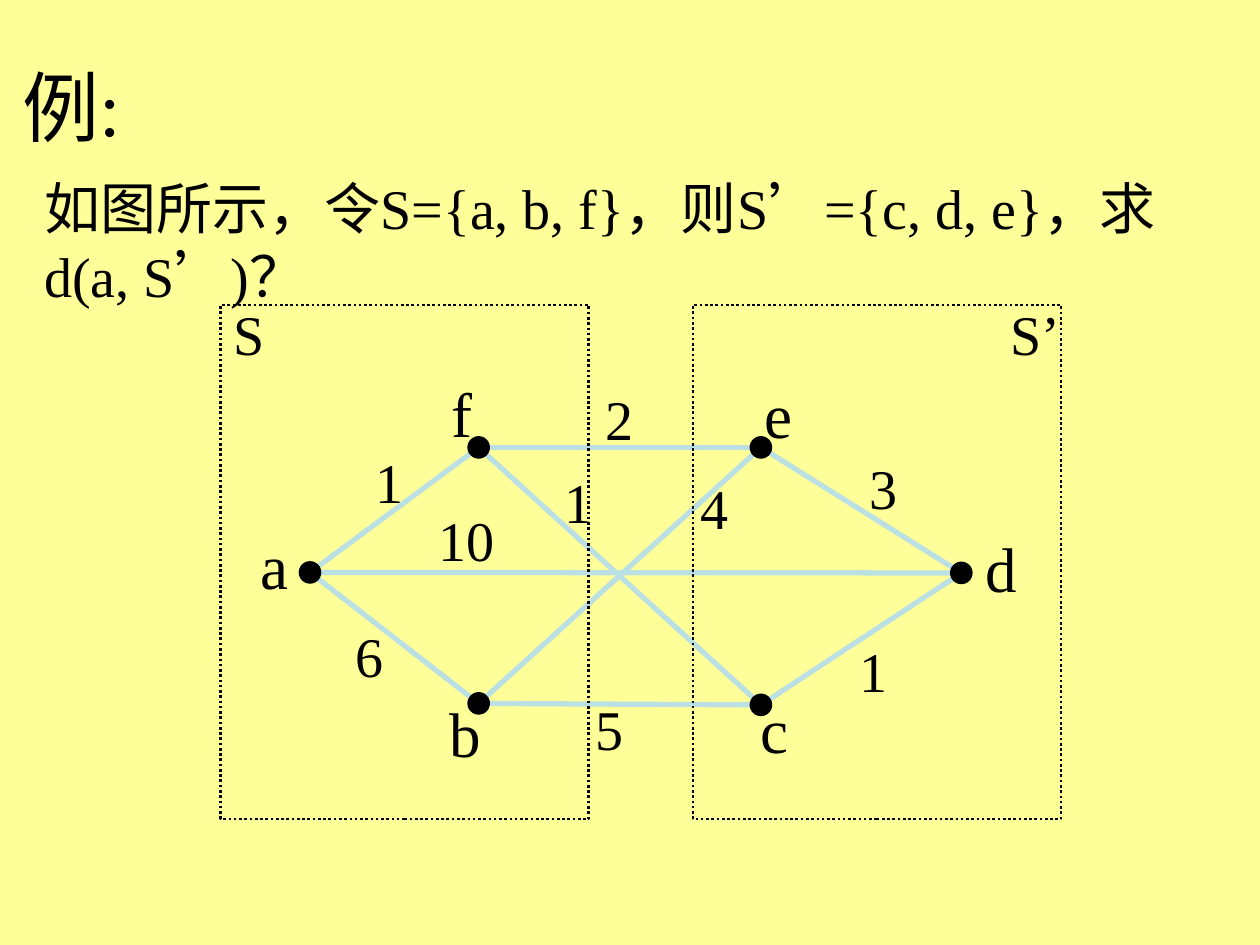
from collections import namedtuple

from lxml import etree
from pptx import Presentation
from pptx.dml.color import RGBColor
from pptx.enum import dml, shapes, text
from pptx.oxml import ns
from pptx.util import Cm, Pt

Theme = namedtuple("Theme", "font background ink edge title body node weight")
theme = Theme(
    font="Times New Roman",
    background=RGBColor.from_string("FFFF99"),
    ink=RGBColor.from_string("000000"),
    edge=RGBColor.from_string("BBE0E3"),
    title=Pt(44), body=Pt(32), node=Pt(36), weight=Pt(32),
)

presentation = Presentation()
presentation.slide_width, presentation.slide_height = Cm(25.4), Cm(19.05)
slide = presentation.slides.add_slide(presentation.slide_layouts[6])
slide.background.fill.solid()
slide.background.fill.fore_color.rgb = theme.background


def add_text(content, left, top, width, height, size, wrap=False,
             anchor=text.MSO_ANCHOR.TOP, space_before=0):
    """Add a text box; one that does not wrap grows with its text."""
    box = slide.shapes.add_textbox(Cm(left), Cm(top), Cm(width), Cm(height))
    frame = box.text_frame
    frame.word_wrap = wrap
    if not wrap:
        frame.auto_size = text.MSO_AUTO_SIZE.SHAPE_TO_FIT_TEXT
    frame.vertical_anchor = anchor
    paragraph = frame.paragraphs[0]
    paragraph.space_before = Pt(space_before)
    run = paragraph.add_run()
    run.text = content
    run.font.name = theme.font
    run.font.size = size
    run.font.color.rgb = theme.ink


add_text("例:", 0.2, 1.07, 22.66, 2.11, theme.title, wrap=True,
         anchor=text.MSO_ANCHOR.MIDDLE)
add_text("如图所示，令S={a, b, f}，则S’={c, d, e}，求d(a, S’)？",
         0.64, 3.38, 24.13, 3.38, theme.body, wrap=True, space_before=8)

# Node: centre x, centre y, label left, label top, label width
nodes = {
    "a": (6.25, 11.54, 5.0, 10.49, 1.07),
    "b": (9.65, 14.18, 8.81, 13.87, 1.14),
    "c": (15.34, 14.21, 15.09, 13.79, 1.07),
    "d": (19.38, 11.55, 19.61, 10.54, 1.14),
    "e": (15.34, 9.02, 15.16, 7.44, 1.07),
    "f": (9.65, 9.02, 8.86, 7.42, 0.91),
}
# Edge: end nodes, weight, weight left, weight top, weight width
edges = [
    ("be", "4", 13.87, 9.42, 1.07),
    ("fc", "1", 11.13, 9.3, 1.07),
    ("ab", "6", 6.91, 12.4, 1.07),
    ("bc", "5", 11.76, 13.87, 1.07),
    ("cd", "1", 17.07, 12.7, 1.07),
    ("ad", "10", 8.59, 10.06, 1.63),
    ("af", "1", 7.32, 8.89, 1.07),
    ("fe", "2", 11.96, 7.62, 1.07),
    ("ed", "3", 17.27, 9.02, 1.07),
]

for (start, end), *_ in edges:
    x1, y1 = nodes[start][:2]
    x2, y2 = nodes[end][:2]
    line = slide.shapes.add_connector(
        shapes.MSO_CONNECTOR.STRAIGHT, Cm(x1), Cm(y1), Cm(x2), Cm(y2))
    line.line.color.rgb = theme.edge
    line.line.width = Pt(3)
    etree.SubElement(line._element.spPr, ns.qn("a:effectLst"))

dot_size = 0.43
for name, (x, y, left, top, width) in nodes.items():
    dot = slide.shapes.add_shape(
        shapes.MSO_SHAPE.OVAL, Cm(x - dot_size / 2), Cm(y - dot_size / 2),
        Cm(dot_size), Cm(dot_size))
    dot.shadow.inherit = False
    dot.fill.solid()
    dot.fill.fore_color.rgb = theme.ink
    dot.line.color.rgb = theme.ink
    dot.line.width = Pt(0.75)
    add_text(name, left, top, width, 1.78, theme.node)

for _, weight, left, top, width in edges:
    add_text(weight, left, top, width, 1.63, theme.weight)

# Vertex set: name, frame left, label left, label width
for name, left, label_left, label_width in [
    ("S’", 13.97, 20.12, 1.6),
    ("S", 4.45, 4.45, 1.14),
]:
    frame = slide.shapes.add_shape(
        shapes.MSO_SHAPE.RECTANGLE, Cm(left), Cm(6.15), Cm(7.42), Cm(10.36))
    frame.shadow.inherit = False
    frame.fill.background()
    frame.line.color.rgb = theme.ink
    frame.line.width = Pt(1.5)
    frame.line.dash_style = dml.MSO_LINE.ROUND_DOT
    add_text(name, label_left, 5.92, label_width, 1.63, theme.weight)

presentation.save("out.pptx")
